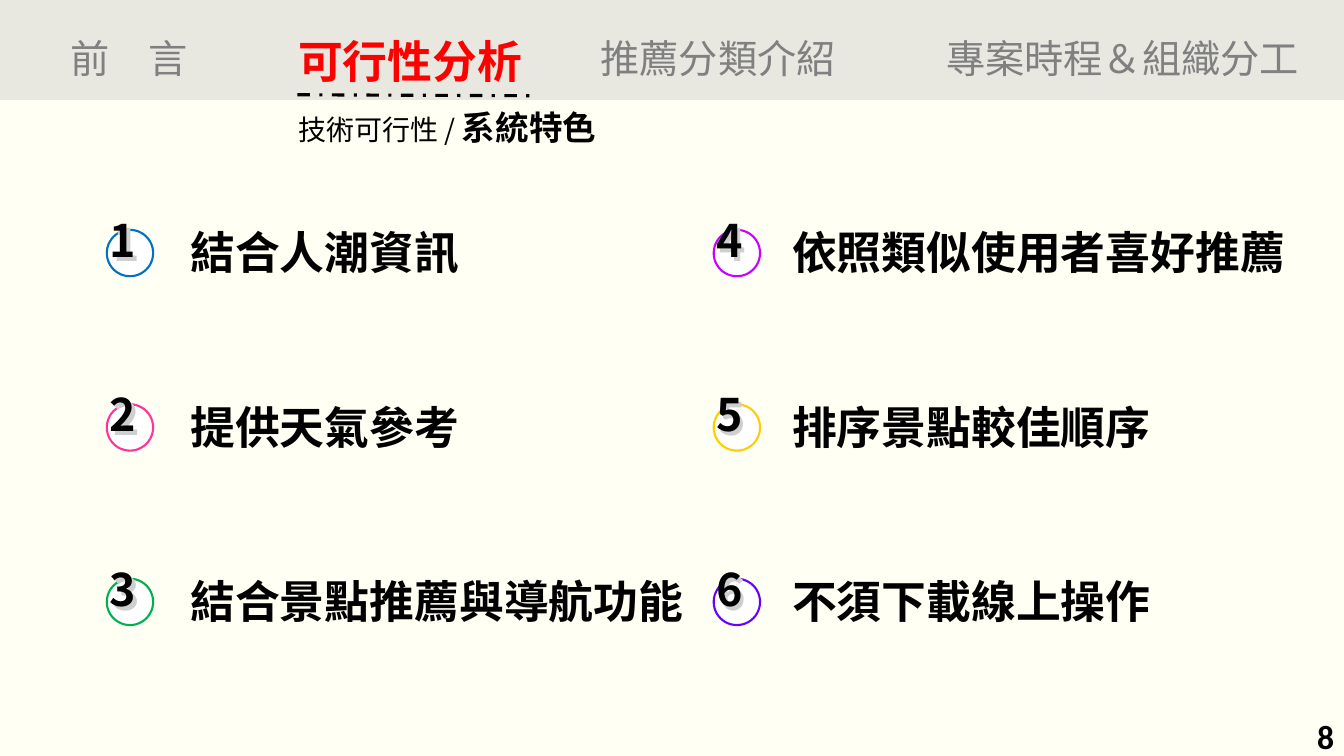
from lxml import etree
from pptx import Presentation
from pptx.dml.color import RGBColor
from pptx.enum.dml import MSO_LINE
from pptx.enum.shapes import MSO_CONNECTOR, MSO_SHAPE
from pptx.enum.text import MSO_ANCHOR, PP_ALIGN
from pptx.oxml.ns import qn
from pptx.util import Pt

RECTANGLE, OVAL = MSO_SHAPE.RECTANGLE, MSO_SHAPE.OVAL
STRAIGHT, DASH_DOT = MSO_CONNECTOR.STRAIGHT, MSO_LINE.DASH_DOT
TOP, MIDDLE = MSO_ANCHOR.TOP, MSO_ANCHOR.MIDDLE
LEFT, RIGHT = PP_ALIGN.LEFT, PP_ALIGN.RIGHT

CJK_FONT, NUMBER_FONT = "Noto Sans CJK SC", "Calibri"
COLORS = {
    "cream": "FFFFCC", "band": "BFBFBF", "muted": "808080", "active": "FF0000",
    "text": "000000", "digit shadow": "D0CECE", "white": "FFFFFF",
    "blue": "0070C0", "pink": "FF3399", "green": "00B050",
    "magenta": "CC00FF", "yellow": "FFCD05", "violet": "6600FF",
}

# text, left, size, colour, bold
NAVIGATION = [
    ("前　言", 43.2, 28, "muted", False),
    ("可行性分析", 205.9, 32, "active", True),
    ("推薦分類介紹", 421.9, 28, "muted", False),
    ("專案時程＆組織分工", 668.9, 28, "muted", False),
]
BREADCRUMB = [("技術可行性 / ", 20, False), ("系統特色", 24, True)]
FEATURES = [
    ("結合人潮資訊", "blue"),
    ("提供天氣參考", "pink"),
    ("結合景點推薦與導航功能", "green"),
    ("依照類似使用者喜好推薦", "magenta"),
    ("排序景點較佳順序", "yellow"),
    ("不須下載線上操作", "violet"),
]
PAGE_NUMBER = "8"

SLIDE_WIDTH, SLIDE_HEIGHT, BAND_HEIGHT = 960, 540, 71.3
NAVIGATION_TOP = 20.9
ROWS = 3
COLUMNS = [(76.3, 128.9), (509.8, 558.7)]  # left of badge, left of label
FIRST_BADGE_TOP, ROW_PITCH, BADGE_SIZE = 164.2, 124.6, 33.1
LABEL_RISE = 7
DIGITS = [("digit shadow", -2.6, -13), ("text", -5.1, -15.8)]  # colour, dx, dy
FEATURE_SIZE, DIGIT_WIDTH, DIGIT_HEIGHT = 32, 33.8, 46


def rgb(name):
    return RGBColor.from_string(COLORS[name])


def style(font, name, size, color, bold):
    font.name, font.size, font.bold = name, Pt(size), bold
    font.color.rgb = rgb(color)


def set_east_asian_font(properties):
    """Apply the CJK typeface to Chinese characters as well as Latin ones."""
    properties.find(qn("a:latin")).addnext(
        etree.Element(qn("a:ea"), typeface=CJK_FONT))


def add_box(shapes, left, top, width, height, wrap=False):
    box = shapes.add_textbox(Pt(left), Pt(top), Pt(width), Pt(height))
    box.text_frame.word_wrap = wrap
    return box.text_frame


def add_text(shapes, text, left, top, width, height, size, color, bold,
             name=CJK_FONT, align=LEFT, anchor=TOP):
    frame = add_box(shapes, left, top, width, height)
    frame.vertical_anchor = anchor
    paragraph = frame.paragraphs[0]
    paragraph.text, paragraph.alignment = text, align
    style(paragraph.font, name, size, color, bold)
    if name == CJK_FONT:
        set_east_asian_font(paragraph._p.pPr.find(qn("a:defRPr")))


def add_line_of_text(shapes, text, left, top, size, color, bold):
    """Size the box to the full-width characters it holds."""
    add_text(shapes, text, left, top, len(text) * size + 16, size * 1.44,
             size, color, bold)


def add_panel(slide, height, color, opacity):
    panel = slide.shapes.add_shape(RECTANGLE, 0, 0, Pt(SLIDE_WIDTH), Pt(height))
    panel.shadow.inherit = False
    panel.fill.solid()
    panel.fill.fore_color.rgb = rgb(color)
    panel.line.fill.background()
    fill_color = panel._element.spPr.find(qn("a:solidFill"))[0]
    etree.SubElement(fill_color, qn("a:alpha"), val=str(opacity * 1000))


def add_header(slide):
    for text, left, size, color, bold in NAVIGATION:
        add_line_of_text(slide.shapes, text, left, NAVIGATION_TOP, size, color, bold)

    underline = slide.shapes.add_connector(
        STRAIGHT, Pt(212.4), Pt(67.7), Pt(384.5), Pt(68.4))
    underline.line.color.rgb = rgb("text")
    underline.line.width = Pt(2.25)
    underline.line.dash_style = DASH_DOT
    etree.SubElement(underline._element.spPr, qn("a:effectLst"))

    frame = add_box(slide.shapes, 205.9, 72.7, 312.5, 36, wrap=True)
    for text, size, bold in BREADCRUMB:
        run = frame.paragraphs[0].add_run()
        run.text = text
        style(run.font, CJK_FONT, size, "text", bold)
        set_east_asian_font(run._r.rPr)


def add_feature(slide, index, text, color):
    column, row = divmod(index, ROWS)
    badge_left, label_left = COLUMNS[column]
    badge_top = FIRST_BADGE_TOP + row * ROW_PITCH
    shapes = slide.shapes.add_group_shape().shapes

    badge = shapes.add_shape(
        OVAL, Pt(badge_left), Pt(badge_top), Pt(BADGE_SIZE), Pt(BADGE_SIZE))
    badge.shadow.inherit = False
    badge.fill.solid()
    badge.fill.fore_color.rgb = rgb("white")
    badge.line.color.rgb = rgb(color)
    badge.line.width = Pt(1.5)

    for digit_color, dx, dy in DIGITS:
        add_text(shapes, str(index + 1), badge_left + dx, badge_top + dy,
                 DIGIT_WIDTH, DIGIT_HEIGHT, FEATURE_SIZE, digit_color, True)
    add_line_of_text(shapes, text, label_left, badge_top - LABEL_RISE,
                     FEATURE_SIZE, "text", True)


def main():
    presentation = Presentation()
    presentation.slide_width = Pt(SLIDE_WIDTH)
    presentation.slide_height = Pt(SLIDE_HEIGHT)
    slide = presentation.slides.add_slide(presentation.slide_layouts[6])

    add_panel(slide, SLIDE_HEIGHT, "cream", 20)
    add_panel(slide, BAND_HEIGHT, "band", 35)
    add_text(slide.shapes, PAGE_NUMBER, 744, 511.2, 216, 28.8, 24, "text", True,
             name=NUMBER_FONT, align=RIGHT, anchor=MIDDLE)
    add_header(slide)
    for index, (text, color) in enumerate(FEATURES):
        add_feature(slide, index, text, color)
    presentation.save("out.pptx")


if __name__ == "__main__":
    main()
